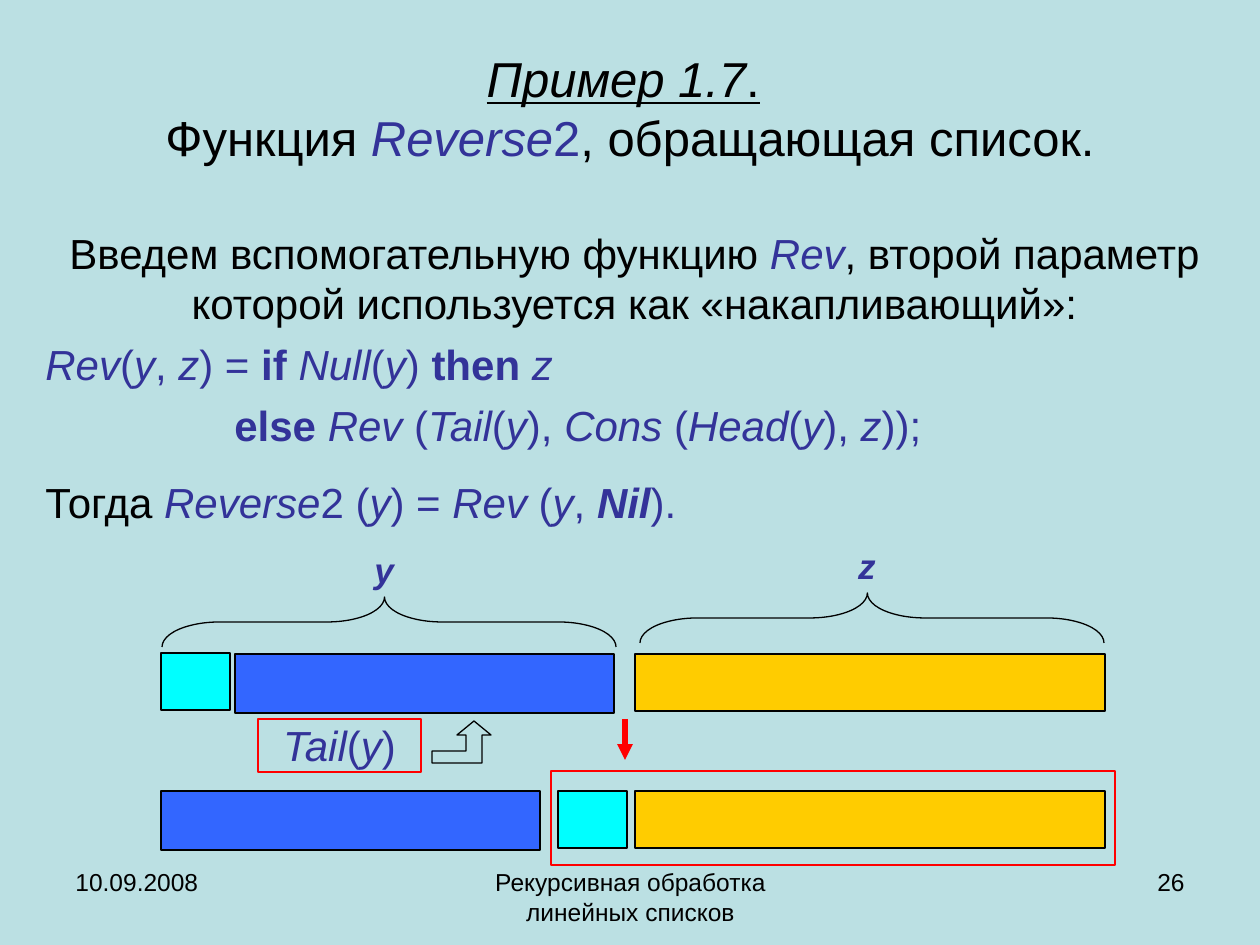
from lxml import etree
from pptx import Presentation
from pptx.dml.color import RGBColor
from pptx.enum.shapes import MSO_CONNECTOR as Conn, MSO_SHAPE as Shape
from pptx.enum.text import MSO_ANCHOR as Anchor, PP_ALIGN as Align
from pptx.oxml.ns import qn
from pptx.util import Emu, Pt

SCALE = 914400 / 126
FONT = "Arial"
BLACK = RGBColor(0x00, 0x00, 0x00)
NAVY = RGBColor(0x33, 0x33, 0x99)
PALE = RGBColor(0xBB, 0xE0, 0xE3)
BLUE = RGBColor(0x33, 0x66, 0xFF)
CYAN = RGBColor(0x00, 0xFF, 0xFF)
GOLD = RGBColor(0xFF, 0xCC, 0x00)
RED = RGBColor(0xFF, 0x00, 0x00)


def px(n):
    return Emu(round(n * SCALE))


def add_runs(p, size, runs):
    """Each run is (text, style): k black, i italic, b bold, u underlined."""
    for text, style in runs:
        r = p.add_run()
        r.text = text
        f = r.font
        f.name, f.size = FONT, Pt(size)
        f.color.rgb = BLACK if "k" in style else NAVY
        f.italic, f.bold, f.underline = "i" in style, "b" in style, "u" in style


def add_text(s, box, align=Align.LEFT, anchor=Anchor.TOP):
    tf = s.shapes.add_textbox(*map(px, box)).text_frame
    tf.word_wrap = True
    tf.vertical_anchor = anchor
    tf.paragraphs[0].alignment = align
    return tf


def paint(sp, fill=None, line=BLACK):
    sp.shadow.inherit = False
    if fill is None:
        sp.fill.background()
    else:
        sp.fill.solid()
        sp.fill.fore_color.rgb = fill
    sp.line.color.rgb = line
    sp.line.width = Pt(0.75)
    return sp


def add_rect(s, box, fill=None, line=BLACK):
    return paint(s.shapes.add_shape(Shape.RECTANGLE, *map(px, box)), fill, line)


def add_title(s, box):
    p = add_text(s, box, Align.CENTER, Anchor.MIDDLE).paragraphs[0]
    add_runs(p, 28, [("Пример 1.7", "kiu"), (".", "ku"), (" ", "k")])
    p.add_line_break()
    add_runs(p, 28, [("Функция ", "k"), ("Reverse", "i"), ("2", ""),
                     (", обращающая список.", "k")])


def add_body(s, box):
    paragraphs = [
        (0, [("Введем вспомогательную функцию ", "k"), ("Rev", "i"),
             (", второй параметр которой используется как «накапливающий»:", "k")]),
        (6, [("Rev", "i"), ("(", ""), ("y", "i"), (", ", ""), ("z", "i"), (") = ", ""),
             ("if ", "b"), ("Null", "i"), ("(", ""), ("y", "i"), (") ", ""),
             ("then ", "b"), ("z", "i")]),
        (6, [("\t\t\telse ", "b"), ("Rev ", "i"), ("(", ""), ("Tail", "i"), ("(", ""),
             ("y", "i"), ("), ", ""), ("Cons ", "i"), ("(", ""), ("Head", "i"),
             ("(", ""), ("y", "i"), ("), ", ""), ("z", "i"), ("));", "")]),
        (15, [("Тогда ", "k"), ("Reverse", "i"), ("2 (", ""), ("y", "i"), (") = ", ""),
              ("Rev", "i"), (" (", ""), ("y", "i"), (", ", ""), ("Nil", "bi"),
              (").", "")]),
    ]
    tf = add_text(s, box, Align.CENTER)
    for i, (before, runs) in enumerate(paragraphs):
        p = tf.add_paragraph() if i else tf.paragraphs[0]
        if before:
            p.space_before = Pt(before)
        add_runs(p, 24, runs)


def add_brace(s, x, y, length, depth, name):
    """Brace pointing up, with its list name above the point."""
    sp = s.shapes.add_shape(Shape.LEFT_BRACE, px(x + (length - depth) / 2),
                            px(y - (length - depth) / 2), px(depth), px(length))
    sp.rotation = 90
    sp.adjustments[0], sp.adjustments[1] = 1.15, 0.51
    paint(sp)
    tip = x + round(length * 0.49)
    tf = add_text(s, (tip - 27, y - 55, 54, 55), Align.CENTER)
    add_runs(tf.paragraphs[0], 20, [(name, "bi")])


def add_down_arrow(s, x, y, length):
    c = s.shapes.add_connector(Conn.STRAIGHT, px(x), px(y), px(x), px(y + length))
    c.line.color.rgb = RED
    c.line.width = Pt(3)
    etree.SubElement(c.line._get_or_add_ln(), qn("a:tailEnd"), type="triangle")
    etree.SubElement(c._element.spPr, qn("a:effectLst"))


def add_bent_arrow(s, x, y):
    points = [(0, 30), (34, 30), (34, 14), (25, 14), (42, 0), (59, 14),
              (50, 14), (50, 42), (0, 42)]
    (x0, y0), *rest = [(x + dx, y + dy) for dx, dy in points]
    fb = s.shapes.build_freeform(x0, y0, scale=SCALE)
    fb.add_line_segments(rest, close=True)
    paint(fb.convert_to_shape(), PALE)


def add_diagram(s, x, y):
    head, tail, rest = (69, 57), (379, 59), (470, 57)
    top, bottom = y + 111, y + 248

    # Frame of the new second argument
    add_rect(s, (x + 390, y + 228, 564, 94), PALE, RED)

    # Lists before and after one step
    for dx, cy, size, fill in [(0, top - 1, head, CYAN), (74, top, tail, BLUE),
                               (474, top, rest, GOLD), (0, bottom, tail, BLUE),
                               (397, bottom, head, CYAN), (474, bottom, rest, GOLD)]:
        add_rect(s, (x + dx, cy, *size), fill)

    # Braces with list names
    add_brace(s, x + 1, y + 54, 454, 50, "y")
    add_brace(s, x + 479, y + 50, 464, 50, "z")

    # Tail label and arrows
    add_down_arrow(s, x + 464, y + 176, 41)
    tf = add_rect(s, (x + 97, y + 176, 163, 53), line=RED).text_frame
    tf.margin_left = tf.margin_right = px(3)
    tf.margin_top = tf.margin_bottom = px(1)
    tf.vertical_anchor = Anchor.TOP
    p = tf.paragraphs[0]
    p.alignment = Align.CENTER
    add_runs(p, 24, [("Tail", "i"), ("(", ""), ("y", "i"), (")", "")])
    add_bent_arrow(s, x + 271, y + 178)


def add_footer(s, y, height):
    for x, width, align, text in [
            (63, 294, Align.LEFT, "10.09.2008"),
            (431, 399, Align.CENTER, "Рекурсивная обработка линейных списков"),
            (903, 294, Align.RIGHT, "26")]:
        tf = add_text(s, (x, y, width, height), align)
        add_runs(tf.paragraphs[0], 14, [(text, "k")])


def main():
    prs = Presentation()
    prs.slide_width, prs.slide_height = px(1260), px(945)
    s = prs.slides.add_slide(prs.slide_layouts[6])
    s.background.fill.solid()
    s.background.fill.fore_color.rgb = PALE
    add_title(s, (63, 38, 1134, 139))
    add_body(s, (33, 221, 1203, 320))
    add_diagram(s, 161, 543)
    add_footer(s, 861, 66)
    prs.save("out.pptx")


if __name__ == "__main__":
    main()
